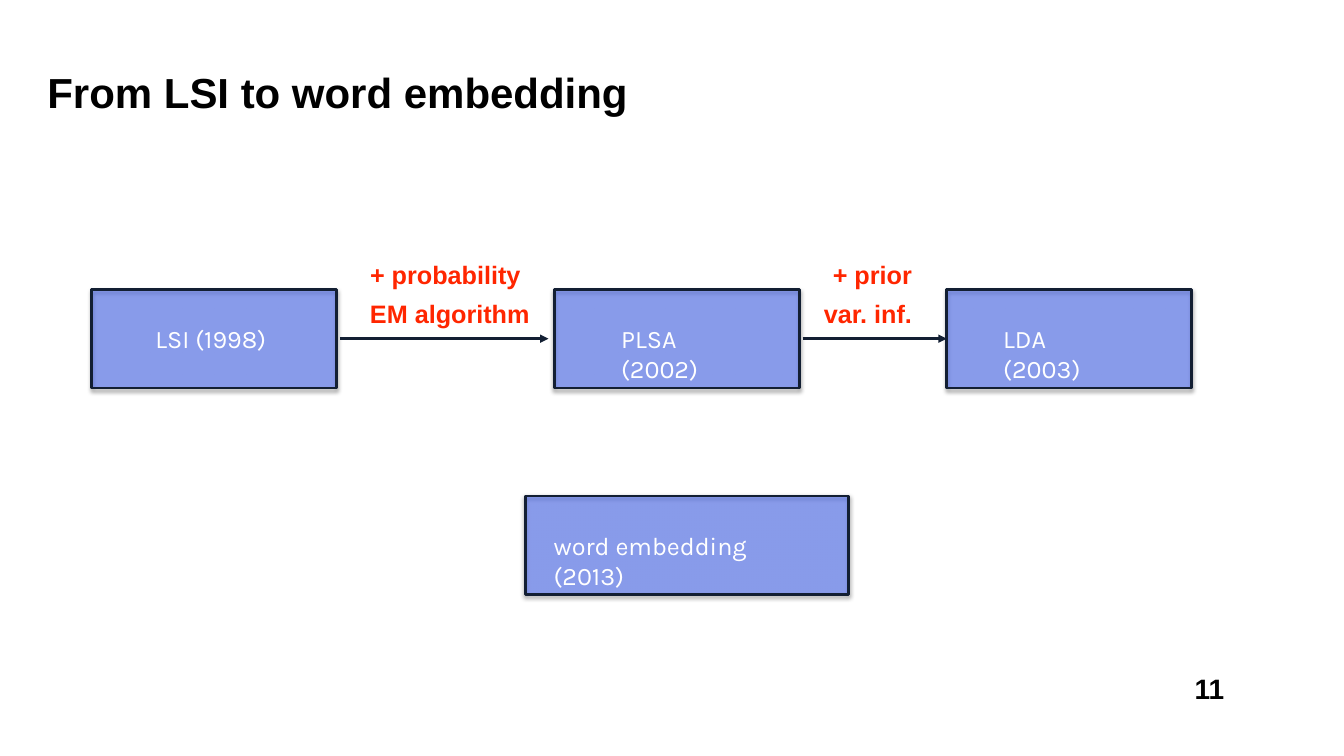
from lxml.etree import SubElement
from pptx import Presentation
from pptx.dml.color import RGBColor
from pptx.enum.shapes import MSO_CONNECTOR, MSO_SHAPE
from pptx.enum.text import MSO_ANCHOR, PP_ALIGN
from pptx.oxml import parse_xml
from pptx.oxml.ns import nsdecls, qn
from pptx.util import Inches, Pt

TITLE = "From LSI to word embedding"
NUMBER = "11"
BLUE, NAVY, RED, WHITE, BLACK = "0433FF", "131F33", "FF2600", "FFFFFF", "000000"
BOX_H = 0.98
TEXT_DROP = 0.29
ROW_TOP = 2.87
MODELS = [
    ("LSI (1998)", 0.91, ROW_TOP, 2.43, 1.49, 1.25),
    ("PLSA (2002)", 5.5, ROW_TOP, 2.43, 6.11, 1.38),
    ("LDA (2003)", 9.39, ROW_TOP, 2.43, 9.9, 1.25),
    ("word embedding (2013)", 5.21, 4.92, 3.21, 5.44, 2.7),
]
ARROWS = [(3.37, 5.44, None), (7.96, 9.39, "LDA (2003)")]
LABELS = [
    ("+ probability", 3.62, 2.52, 1.71),
    ("EM algorithm", 3.62, 2.91, 1.8),
    ("+ prior", 8.21, 2.52, 1.0),
    ("var. inf.", 8.12, 2.91, 1.09),
]
SHADOW = (
    f'<a:effectLst {nsdecls("a")}><a:outerShdw blurRad="38100" dist="22860" dir="5400000" rotWithShape="0">'
    '<a:srgbClr val="000000"><a:alpha val="35000"/></a:srgbClr></a:outerShdw></a:effectLst>'
)


def color(hex_string):
    return RGBColor.from_string(hex_string)


def add_text(s, text, x, y, w, h, size, font, fill, bold=False, inset=0.05):
    tf = s.shapes.add_textbox(Inches(x), Inches(y), Inches(w), Inches(h)).text_frame
    tf.word_wrap = True
    tf.margin_left = tf.margin_right = tf.margin_top = tf.margin_bottom = Inches(inset)
    tf.text = text
    f = tf.paragraphs[0].runs[0].font
    f.size, f.name, f.bold = Pt(size), font, bold
    f.color.rgb = color(fill)
    return tf


def add_box(s, x, y, w):
    sp = s.shapes.add_shape(MSO_SHAPE.RECTANGLE, Inches(x), Inches(y), Inches(w), Inches(BOX_H))
    sp.fill.solid()
    sp.fill.fore_color.rgb = color(BLUE)
    rgb = sp.fill._xPr.find(qn("a:solidFill")).find(qn("a:srgbClr"))
    SubElement(rgb, qn("a:alpha")).set("val", "39000")
    sp.line.color.rgb = color(NAVY)
    sp.line.width = Pt(2)
    sp._element.spPr.append(parse_xml(SHADOW))
    return sp


def add_arrow(s, x1, x2, target):
    y = Inches(ROW_TOP + BOX_H / 2)
    cx = s.shapes.add_connector(MSO_CONNECTOR.STRAIGHT, Inches(x1), y, Inches(x2), y)
    if target is not None:
        cx.end_connect(target, 1)
    cx.line.color.rgb = color(NAVY)
    cx.line.width = Pt(2)
    SubElement(cx.line._get_or_add_ln(), qn("a:tailEnd")).set("type", "triangle")
    SubElement(cx._element.spPr, qn("a:effectLst"))


def main():
    prs = Presentation()
    prs.slide_width, prs.slide_height = Inches(13.33), Inches(7.5)
    s = prs.slides.add_slide(prs.slide_layouts[6])

    tf = add_text(s, TITLE, 0.42, 0.58, 11.54, 0.72, 30, "Arial", BLACK, True)
    tf.vertical_anchor = MSO_ANCHOR.MIDDLE
    tf.paragraphs[0].line_spacing = 0.9
    tf = add_text(s, NUMBER, 11.8, 6.62, 0.39, 0.39, 20, "Arial", BLACK, True, 0.04)
    tf.paragraphs[0].alignment = PP_ALIGN.CENTER

    boxes = {}
    for name, x, y, w, text_x, text_w in MODELS:
        boxes[name] = add_box(s, x, y, w)
        add_text(s, name, text_x, y + TEXT_DROP, text_w, 0.39, 18, "Karla", WHITE)
    for x1, x2, target in ARROWS:
        add_arrow(s, x1, x2, boxes.get(target))
    for text, x, y, w in LABELS:
        add_text(s, text, x, y, w, 0.38, 18, "Arial", RED, True)

    prs.save("out.pptx")


if __name__ == "__main__":
    main()
